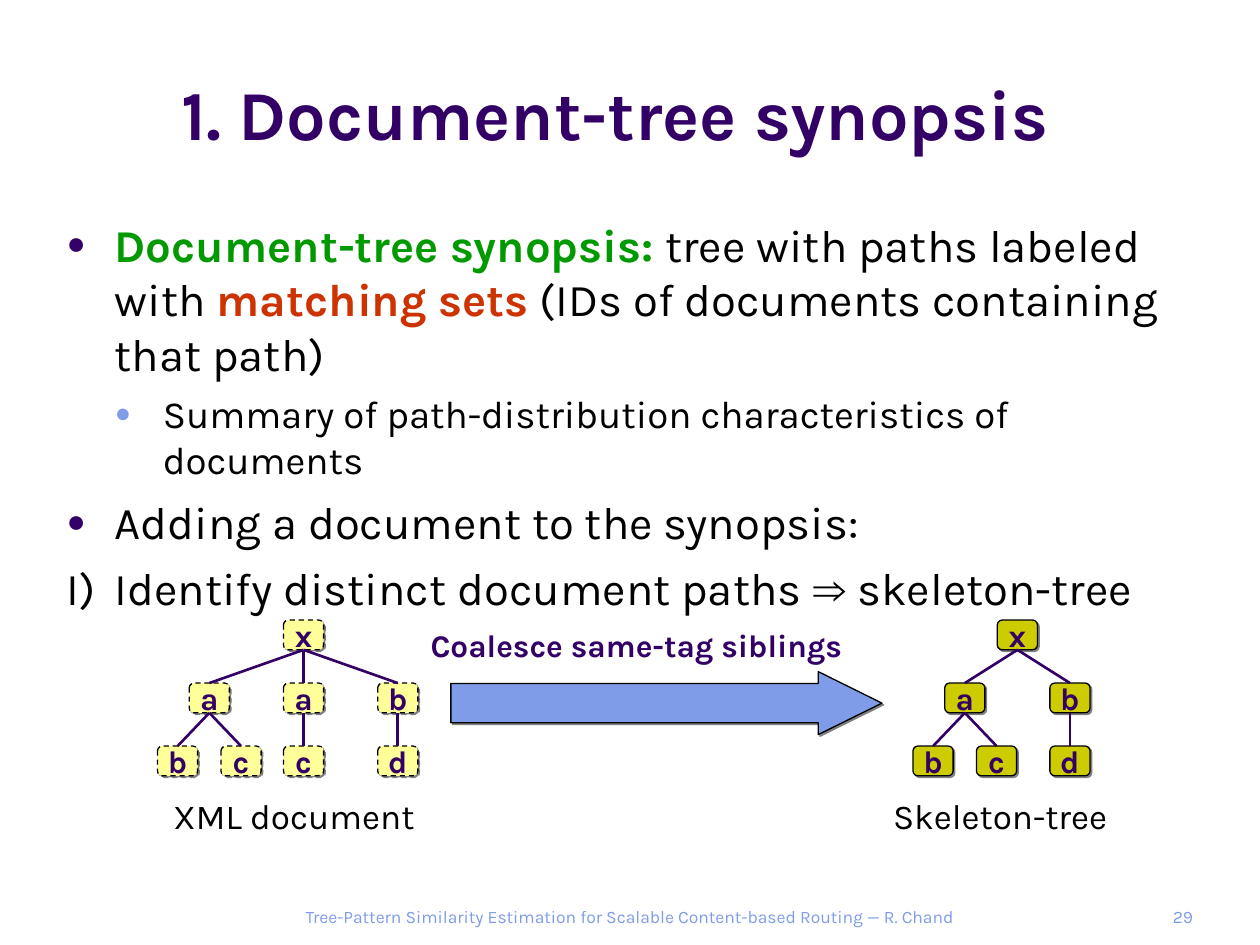
from lxml import etree
from pptx import Presentation
from pptx.dml.color import RGBColor
from pptx.enum.dml import MSO_LINE
from pptx.enum.shapes import MSO_CONNECTOR, MSO_SHAPE
from pptx.enum.text import MSO_ANCHOR, MSO_AUTO_SIZE, PP_ALIGN
from pptx.oxml.ns import qn
from pptx.util import Cm, Pt

PURPLE = RGBColor(0x33, 0x00, 0x66)
BLUE = RGBColor(0x7E, 0x9C, 0xE8)
GREEN = RGBColor(0x00, 0x99, 0x00)
RED = RGBColor(0xCC, 0x33, 0x00)
BLACK = RGBColor(0x00, 0x00, 0x00)
GREY = RGBColor(0x80, 0x80, 0x80)
PALE_YELLOW = RGBColor(0xFF, 0xFF, 0x99)
OLIVE = RGBColor(0xCC, 0xCC, 0x00)

NODE_WIDTH, NODE_HEIGHT = 0.81, 0.6
TREE_TOP, LEVEL_STEP = 12.5, 1.27
LEAF_OFFSET = 0.64
HANGING = 0.97

# A node is (label, horizontal offset from its parent, children).
A_WITH_LEAVES = [("b", -LEAF_OFFSET, []), ("c", LEAF_OFFSET, [])]
D_LEAF = [("d", 0, [])]
DOCUMENT_TREE = ("x", 0, [
    ("a", -1.9, A_WITH_LEAVES),
    ("a", 0, [("c", 0, [])]),
    ("b", 1.9, D_LEAF),
])
SKELETON_TREE = ("x", 0, [("a", -1.06, A_WITH_LEAVES), ("b", 1.06, D_LEAF)])


class SlideBuilder:
    font_name = "Karla"

    def __init__(self, slide):
        self.slide = slide

    def style(self, paragraph, size, color, bold=None, align=None):
        font = paragraph.font
        font.name, font.size, font.bold = self.font_name, Pt(size), bold
        font.color.rgb = color
        if align is not None:
            paragraph.alignment = align

    def place(self, shape, left, top, width, height):
        shape.left, shape.top = Cm(left), Cm(top)
        shape.width, shape.height = Cm(width), Cm(height)

    def title(self, text, *box):
        title = self.slide.shapes.title
        self.place(title, *box)
        frame = title.text_frame
        frame.text = text
        frame.auto_size = MSO_AUTO_SIZE.NONE
        frame.vertical_anchor = MSO_ANCHOR.MIDDLE
        self.style(frame.paragraphs[0], 40, PURPLE, True, PP_ALIGN.CENTER)

    def body(self, *box):
        body = self.slide.placeholders[1]
        self.place(body, *box)
        body.text_frame.auto_size = MSO_AUTO_SIZE.NONE
        return body.text_frame

    def item(self, paragraph, runs, level=0, bullet_color=None, space_before=0):
        """Fill a list paragraph with (text, font attributes) runs."""
        paragraph.level = level
        paragraph.space_before = Pt(space_before)
        properties = paragraph._p.get_or_add_pPr()
        properties.set("marL", str(Cm(HANGING * (level + 1))))
        properties.set("indent", str(Cm(-HANGING)))
        if bullet_color is None:
            etree.SubElement(properties, qn("a:buNone"))
        else:
            color = etree.SubElement(properties, qn("a:buClr"))
            etree.SubElement(color, qn("a:srgbClr"), val=str(bullet_color))
            etree.SubElement(properties, qn("a:buSzPct"), val="70000")
            etree.SubElement(properties, qn("a:buChar"), char="●")
        self.style(paragraph, 22 if level else 26, BLACK)
        for text, color, font_name in runs:
            run = paragraph.add_run()
            run.text = text
            if color is not None:
                run.font.color.rgb = color
                run.font.bold = True
            if font_name is not None:
                run.font.name = font_name

    def label(self, text, box, size, color, bold=None,
              align=PP_ALIGN.CENTER, anchor=MSO_ANCHOR.MIDDLE):
        frame = self.slide.shapes.add_textbox(*map(Cm, box)).text_frame
        frame.word_wrap = True
        frame.vertical_anchor = anchor
        frame.text = text
        self.style(frame.paragraphs[0], size, color, bold, align)

    def shadowed_shape(self, kind, box, fill):
        shape = self.slide.shapes.add_shape(kind, *map(Cm, box))
        shape.fill.solid()
        shape.fill.fore_color.rgb = fill
        shape.line.color.rgb = BLACK
        shape.line.width = Pt(0.75)
        shape.shadow.inherit = False
        effects = shape._element.spPr.find(qn("a:effectLst"))
        shadow = etree.SubElement(effects, qn("a:outerShdw"), dist=str(Pt(1.4)),
                                  dir="2700000", algn="ctr", rotWithShape="0")
        etree.SubElement(shadow, qn("a:srgbClr"), val=str(GREY))
        return shape

    def arrow(self, *box):
        arrow = self.shadowed_shape(MSO_SHAPE.RIGHT_ARROW, box, BLUE)
        arrow.adjustments[0] = 0.625
        arrow.adjustments[1] = 1.011

    def edge(self, parent, child):
        edge = self.slide.shapes.add_connector(MSO_CONNECTOR.STRAIGHT, 0, 0, 0, 0)
        edge.begin_connect(parent, 2)
        edge.end_connect(child, 0)
        edge.line.color.rgb = PURPLE
        edge.line.width = Pt(1.5)
        etree.SubElement(edge._element.spPr, qn("a:effectLst"))

    def tree(self, node, parent_center, fill, dash=None, level=0):
        """Draw a node and its subtree, and return the node's shape."""
        label, offset, children = node
        center = parent_center + offset
        box = (center - NODE_WIDTH / 2, TREE_TOP + level * LEVEL_STEP,
               NODE_WIDTH, NODE_HEIGHT)
        shape = self.shadowed_shape(MSO_SHAPE.FLOWCHART_ALTERNATE_PROCESS, box, fill)
        if dash is not None:
            shape.line.dash_style = dash
        frame = shape.text_frame
        frame.word_wrap = False
        frame.vertical_anchor = MSO_ANCHOR.MIDDLE
        frame.text = label
        self.style(frame.paragraphs[0], 18, PURPLE, True, PP_ALIGN.CENTER)
        for child in children:
            self.edge(shape, self.tree(child, center, fill, dash, level + 1))
        return shape


def main():
    presentation = Presentation()
    presentation.slide_width, presentation.slide_height = Cm(25.4), Cm(19.05)
    builder = SlideBuilder(
        presentation.slides.add_slide(presentation.slide_layouts[1]))

    builder.title("1. Document-tree synopsis", 1.09, 0.33, 22.61, 3.89)

    synopsis = builder.body(1.09, 4.24, 23.22, 13.69)
    builder.item(synopsis.paragraphs[0], [
        ("Document-tree synopsis:", GREEN, None),
        (" tree with paths labeled with ", None, None),
        ("matching sets", RED, None),
        (" (IDs of documents containing that path)", None, None),
    ], bullet_color=PURPLE)
    builder.item(synopsis.add_paragraph(), [
        ("Summary of path-distribution characteristics of documents", None, None),
    ], level=1, bullet_color=BLUE, space_before=5.5)
    builder.item(synopsis.add_paragraph(), [
        ("Adding a document to the synopsis:", None, None),
    ], bullet_color=PURPLE, space_before=6.5)
    builder.item(synopsis.add_paragraph(), [
        ("I)\tIdentify distinct document paths ", None, None),
        ("⇒", None, "Arial"),
        (" skeleton-tree", None, None),
    ], space_before=6.5)

    builder.arrow(9.09, 13.54, 8.69, 1.27)
    builder.label("Coalesce same-tag siblings", (8.33, 12.5, 9, 1.02),
                  18, PURPLE, True)
    builder.tree(DOCUMENT_TREE, 6.12, PALE_YELLOW, MSO_LINE.DASH)
    builder.label("XML document", (2.97, 15.88, 5.92, 1.12), 20, BLACK)
    builder.tree(SKELETON_TREE, 20.51, OLIVE)
    builder.label("Skeleton-tree", (17.7, 15.88, 4.93, 1.12), 20, BLACK)

    builder.label("Tree-Pattern Similarity Estimation for Scalable "
                  "Content-based Routing — R. Chand", (4.09, 18.14, 17.2, 0.61),
                  10, BLUE, anchor=MSO_ANCHOR.TOP)
    builder.label("29", (21.51, 18.14, 2.79, 0.61), 10, BLUE,
                  align=PP_ALIGN.RIGHT, anchor=MSO_ANCHOR.TOP)

    presentation.save("out.pptx")


if __name__ == "__main__":
    main()
